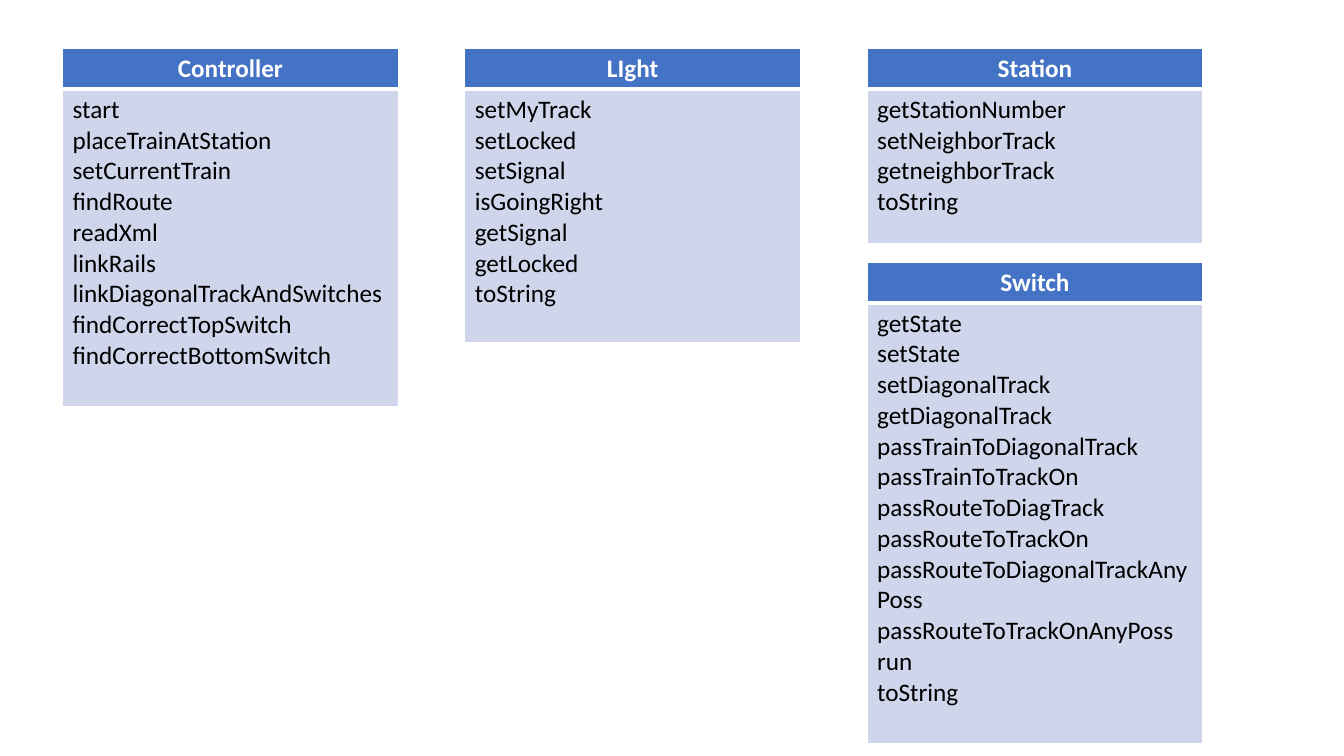
import pptx
import pptx.dml.color
import pptx.enum.text
import pptx.oxml
import pptx.oxml.ns
import pptx.util

Inches = pptx.util.Inches
HEADER_BLUE = pptx.dml.color.RGBColor(0x44, 0x72, 0xC4)
BODY_BLUE = pptx.dml.color.RGBColor(0xCF, 0xD5, 0xEA)
WHITE = pptx.dml.color.RGBColor(0xFF, 0xFF, 0xFF)
BLACK = pptx.dml.color.RGBColor(0x00, 0x00, 0x00)

CLASSES = [
    {"name": "Controller", "column": 0, "top": 0.48, "body_height": 3.15,
     "methods": ["start", "placeTrainAtStation", "setCurrentTrain", "findRoute",
                 "readXml", "linkRails", "linkDiagonalTrackAndSwitches",
                 "findCorrectTopSwitch", "findCorrectBottomSwitch"]},
    {"name": "LIght", "column": 1, "top": 0.48, "body_height": 2.51,
     "methods": ["setMyTrack", "setLocked", "setSignal", "isGoingRight",
                 "getSignal", "getLocked", "toString"]},
    {"name": "Station", "column": 2, "top": 0.48, "body_height": 1.53,
     "methods": ["getStationNumber", "setNeighborTrack", "getneighborTrack",
                 "toString"]},
    {"name": "Switch", "column": 2, "top": 2.6, "body_height": 4.37,
     "methods": ["getState", "setState", "setDiagonalTrack", "getDiagonalTrack",
                 "passTrainToDiagonalTrack", "passTrainToTrackOn",
                 "passRouteToDiagTrack", "passRouteToTrackOn",
                 "passRouteToDiagonalTrackAnyPoss", "passRouteToTrackOnAnyPoss",
                 "run", "toString"]},
]
LEFT, COLUMN_STEP, WIDTH, HEADER_HEIGHT = 0.62, 3.99, 3.33, 0.4
HEADER_BORDERS = {"lnL": 1, "lnR": 1, "lnT": 1, "lnB": 3}
BODY_BORDERS = {"lnL": 1, "lnR": 1, "lnT": 3, "lnB": 1}


def set_borders(cell, borders):
    properties = cell._tc.get_or_add_tcPr()
    for position, (side, width) in enumerate(borders.items()):
        line = pptx.oxml.parse_xml(
            f'<a:{side} {pptx.oxml.ns.nsdecls("a")} w="{pptx.util.Pt(width)}">'
            f'<a:solidFill><a:srgbClr val="{WHITE}"/></a:solidFill></a:{side}>')
        properties.insert(position, line)


def fill_cell(cell, lines, fill, color, bold, alignment, borders):
    cell.fill.solid()
    cell.fill.fore_color.rgb = fill
    set_borders(cell, borders)
    cell.text_frame.text = "\n".join(lines)
    for para in cell.text_frame.paragraphs:
        para.alignment = alignment
        for span in para.runs:
            span.font.name = "Calibri"
            span.font.size = pptx.util.Pt(18)
            span.font.bold = bold
            span.font.color.rgb = color


def add_class_table(page, entry):
    left = LEFT + entry["column"] * COLUMN_STEP
    height = HEADER_HEIGHT + entry["body_height"]
    table = page.shapes.add_table(2, 1, Inches(left), Inches(entry["top"]),
                                  Inches(WIDTH), Inches(height)).table
    table.rows[0].height = Inches(HEADER_HEIGHT)
    table.rows[1].height = Inches(entry["body_height"])
    align = pptx.enum.text.PP_ALIGN
    fill_cell(table.cell(0, 0), [entry["name"]], HEADER_BLUE, WHITE, True,
              align.CENTER, HEADER_BORDERS)
    fill_cell(table.cell(1, 0), entry["methods"], BODY_BLUE, BLACK, False,
              align.LEFT, BODY_BORDERS)


def main():
    deck = pptx.Presentation()
    deck.slide_width = Inches(13.33)
    deck.slide_height = Inches(7.5)
    page = deck.slides.add_slide(deck.slide_layouts[6])
    for entry in CLASSES:
        add_class_table(page, entry)
    deck.save("out.pptx")


if __name__ == "__main__":
    main()
